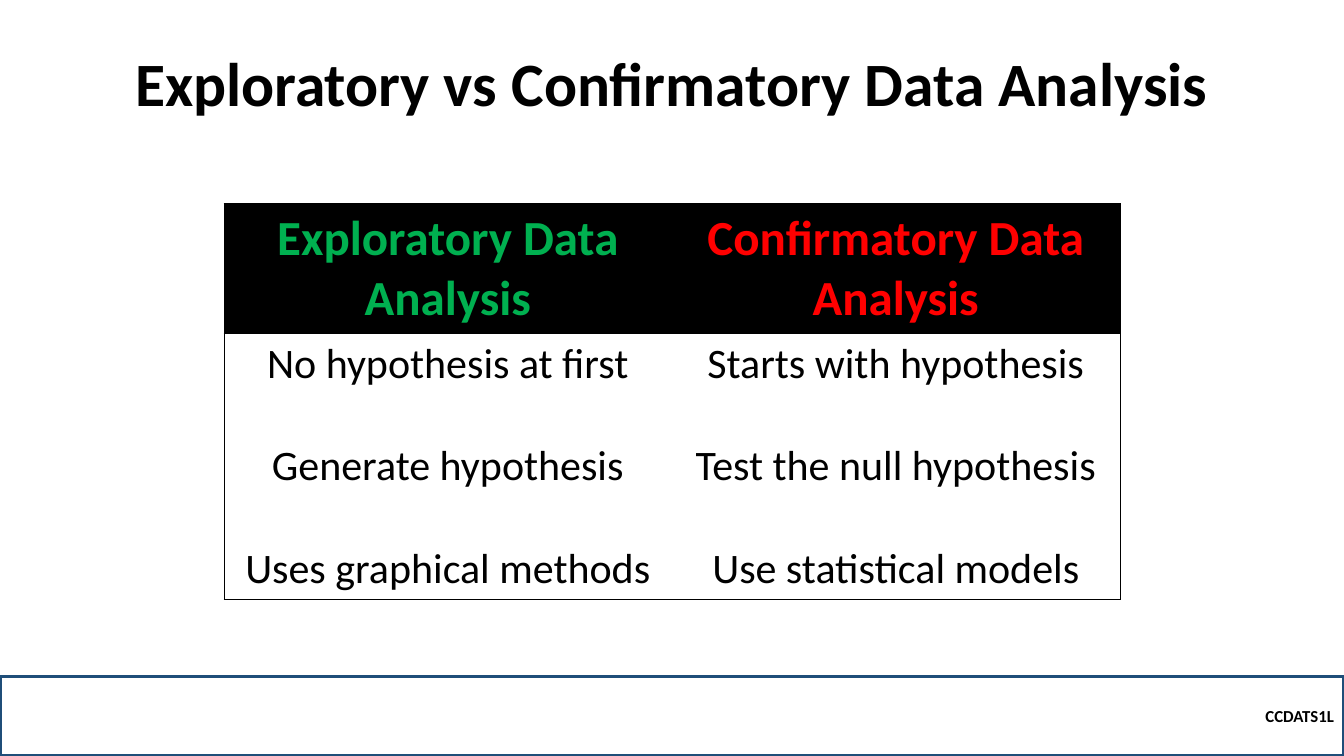
"""Builds a slide that compares exploratory and confirmatory data analysis."""
import lxml.etree
import pptx
import pptx.dml.color
import pptx.enum.shapes
import pptx.enum.text
import pptx.oxml.ns
import pptx.util

Pt = pptx.util.Pt
qn = pptx.oxml.ns.qn
ALIGN = pptx.enum.text.PP_ALIGN
ANCHOR = pptx.enum.text.MSO_ANCHOR
HUES = {"ink": "000000", "paper": "FFFFFF", "green": "00B050", "red": "FF0000", "navy": "1F4E79"}
WIDTH, HEIGHT = 960, 540


def tint(name):
    return pptx.dml.color.RGBColor.from_string(HUES[name])


def write(frame, text, size=12, hue="ink", bold=False, align=ALIGN.CENTER,
          font="Calibri", gap=0, pitch=None):
    frame.word_wrap = True
    for index, line in enumerate(text.split("\n")):
        para = frame.paragraphs[0] if index == 0 else frame.add_paragraph()
        para.alignment = align
        para.space_before = Pt(gap if index else 0)
        if pitch:
            para.line_spacing = pitch
        run = para.add_run()
        run.text = line
        run.font.name, run.font.size, run.font.bold = font, Pt(size), bold
        run.font.color.rgb = tint(hue)


class Deck:
    def __init__(self):
        self.show = pptx.Presentation()
        self.show.slide_width, self.show.slide_height = Pt(WIDTH), Pt(HEIGHT)
        self.slide = self.show.slides.add_slide(self.show.slide_layouts[6])
        self.rule = 0.5

    def title(self, text, box, **style):
        frame = self.slide.shapes.add_textbox(*map(Pt, box)).text_frame
        frame.vertical_anchor = ANCHOR.BOTTOM
        write(frame, text, **style)

    def footer(self, text, box, **style):
        bar = self.slide.shapes.add_shape(
            pptx.enum.shapes.MSO_SHAPE.RECTANGLE, *map(Pt, box))
        bar.shadow.inherit = False
        bar.fill.background()
        bar.line.color.rgb = tint("navy")
        bar.line.width = Pt(2.25)
        bar.text_frame.vertical_anchor = ANCHOR.MIDDLE
        write(bar.text_frame, text, **style)

    def border(self, cell, sides):
        props = cell._tc.get_or_add_tcPr()
        for index, side in enumerate("LRTB"):
            line = lxml.etree.Element(qn(f"a:ln{side}"), w=str(Pt(self.rule)))
            if side in sides:
                fill = lxml.etree.SubElement(line, qn("a:solidFill"))
                lxml.etree.SubElement(fill, qn("a:srgbClr"), val=HUES["ink"])
            else:
                lxml.etree.SubElement(line, qn("a:noFill"))
            props.insert(index, line)

    def table(self, sides, box, heights):
        table = self.slide.shapes.add_table(2, len(sides), *map(Pt, box)).table
        table.horz_banding = False
        for row, height in zip(table.rows, heights):
            row.height = Pt(height)
        for col, (head, hue, points) in enumerate(sides):
            top, body = table.cell(0, col), table.cell(1, col)
            write(top.text_frame, head, size=35, hue=hue, bold=True)
            write(body.text_frame, "\n".join(points), size=30, gap=36.6)
            for cell, fill in ((top, "ink"), (body, "paper")):
                cell.fill.solid()
                cell.fill.fore_color.rgb = tint(fill)
                self.border(cell, "LR"[col] + "TB")


def main():
    deck = Deck()
    deck.title("Exploratory vs Confirmatory Data Analysis", (88.5, 32.4, 783, 57),
               size=44, bold=True, pitch=0.9)
    deck.footer("CCDATS1L", (0, 483, WIDTH, 57), bold=True, align=ALIGN.RIGHT)
    sides = [
        ("Exploratory Data Analysis", "green",
         ["No hypothesis at first", "Generate hypothesis", "Uses graphical methods"]),
        ("Confirmatory Data Analysis", "red",
         ["Starts with hypothesis", "Test the null hypothesis", "Use statistical models"]),
    ]
    heights = (92.6, 190.2)
    deck.table(sides, (160, 145.4, 640, sum(heights)), heights)
    deck.show.save("out.pptx")


if __name__ == "__main__":
    main()
